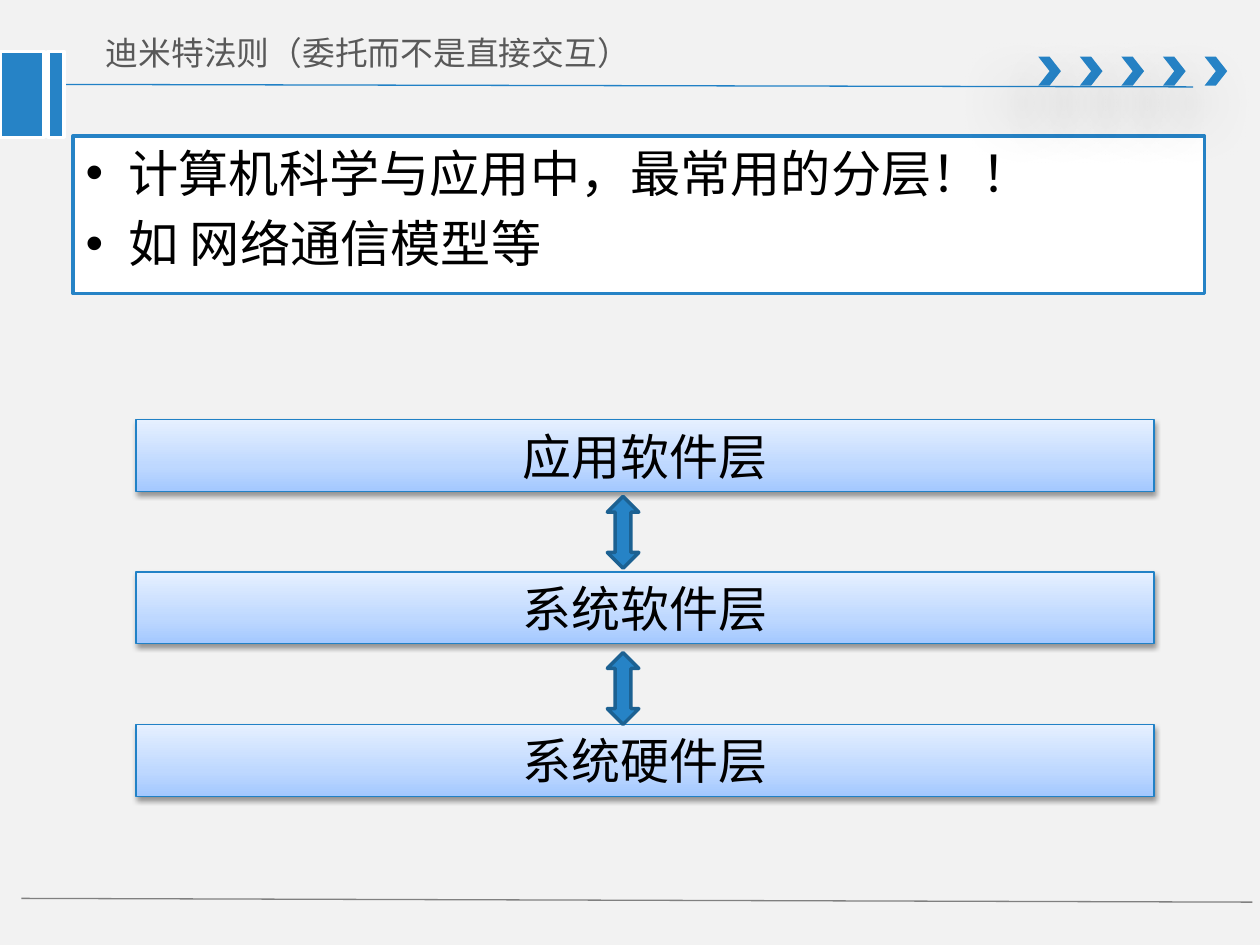
from copy import deepcopy

from lxml.etree import SubElement
from pptx import Presentation
from pptx.dml.color import RGBColor
from pptx.enum.shapes import MSO_CONNECTOR, MSO_SHAPE
from pptx.enum.text import MSO_ANCHOR, MSO_AUTO_SIZE, PP_ALIGN
from pptx.oxml.ns import qn
from pptx.util import Inches, Pt

BLUE = RGBColor(0x26, 0x83, 0xC6)
EDGE_BLUE = RGBColor(0x21, 0x81, 0xC6)
DARK_BLUE = RGBColor(0x1C, 0x61, 0x92)
BACKGROUND = RGBColor(0xF2, 0xF2, 0xF2)
WHITE = RGBColor(0xFF, 0xFF, 0xFF)
BLACK = RGBColor(0, 0, 0)
GRAY = RGBColor(0x80, 0x80, 0x80)
TITLE_GRAY = RGBColor(0x59, 0x59, 0x59)
LAYER_STOPS = [
    (0, RGBColor(0xA3, 0xC8, 0xFF)),
    (0.35, RGBColor(0xBE, 0xD8, 0xFF)),
    (1, RGBColor(0xE6, 0xF0, 0xFF)),
]
LATIN_FONT = "Calibri"
CJK_FONT = "Noto Sans CJK SC"


def set_box(shape, box):
    shape.left, shape.top, shape.width, shape.height = map(Inches, box)


def set_line(shape, color, width):
    shape.line.color.rgb = color
    shape.line.width = Pt(width)


def add_box(page, kind, box, fill=None, line=None, line_width=2):
    shape = page.shapes.add_shape(kind, *map(Inches, box))
    shape.shadow.inherit = False
    if fill is not None:
        shape.fill.solid()
        shape.fill.fore_color.rgb = fill
    if line is None:
        shape.line.fill.background()
    else:
        set_line(shape, line, line_width)
    return shape


def add_rule(page, start, end, color):
    rule = page.shapes.add_connector(
        MSO_CONNECTOR.STRAIGHT, *map(Inches, start + end))
    set_line(rule, color, 0.75)
    SubElement(rule._element.spPr, qn("a:effectLst"))


def add_shadow(shape, blur, distance, angle):
    effects = shape._element.spPr.find(qn("a:effectLst"))
    shadow = SubElement(
        effects, qn("a:outerShdw"), blurRad=str(Pt(blur)),
        dist=str(Pt(distance)), dir=str(angle * 60000), rotWithShape="0")
    color = SubElement(shadow, qn("a:srgbClr"), val=str(BLACK))
    SubElement(color, qn("a:alpha"), val="38000")


def fill_gradient(shape, stops):
    """Fill from bottom to top with any number of stops."""
    shape.fill.gradient()
    shape.fill.gradient_angle = 90
    stop_list = shape._element.spPr.find(qn("a:gradFill")).find(qn("a:gsLst"))
    while len(stop_list) < len(stops):
        stop_list.append(deepcopy(stop_list[0]))
    for stop, (position, color) in zip(shape.fill.gradient_stops, stops):
        stop.position = position
        stop.color.rgb = color


def add_text(para, text, size, color, font=LATIN_FONT):
    span = para.add_run()
    span.text = text
    span.font.size = Pt(size)
    span.font.name = font
    span.font.color.rgb = color
    return span


def add_frame(page, box):
    """Header rule, chevrons, side bars and footer rule."""
    left, top, width, height = box
    add_rule(page, (left + 0.4, top + 0.67),
             (left + width - 0.53, top + 0.69), EDGE_BLUE)
    for column in range(5):
        chevron = add_box(
            page, MSO_SHAPE.CHEVRON,
            (left + width - 1.76 + column * 0.33, top + 0.45, 0.18, 0.23), BLUE)
        add_shadow(chevron, 36, 24, 130)
    for offset, bar_width in ((0, 0.35), (0.38, 0.13)):
        add_box(page, MSO_SHAPE.RECTANGLE,
                (left + offset, top + 0.41, bar_width, 0.68), BLUE, WHITE)
    bottom = top + height
    add_rule(page, (left + 0.17, bottom - 0.37),
             (left + width - 0.06, bottom - 0.34), GRAY)


def fill_title(page, box, text):
    title = page.shapes.title
    set_box(title, box)
    frame = title.text_frame
    frame.vertical_anchor = MSO_ANCHOR.MIDDLE
    frame.auto_size = MSO_AUTO_SIZE.NONE
    para = frame.paragraphs[0]
    para.alignment = PP_ALIGN.LEFT
    span = add_text(para, text, 18.7, TITLE_GRAY, CJK_FONT)
    SubElement(span._r.get_or_add_rPr(), qn("a:ea"), typeface=CJK_FONT)


def fill_points(page, box, points):
    body = page.placeholders[1]
    set_box(body, box)
    body.fill.solid()
    body.fill.fore_color.rgb = WHITE
    set_line(body, BLUE, 2)
    frame = body.text_frame
    frame.auto_size = MSO_AUTO_SIZE.NONE
    for index, point in enumerate(points):
        para = frame.add_paragraph() if index else frame.paragraphs[0]
        add_text(para, point, 28.7, BLACK)
        properties = para._p.get_or_add_pPr()
        properties.set("marL", str(Inches(0.34)))
        properties.set("indent", str(-Inches(0.34)))


def add_layers(page, box, names):
    """Stack one bar per name, with a double arrow in each gap."""
    left, top, width, height = box
    bar_height = 0.57
    pitch = (height - bar_height) / (len(names) - 1)
    for row, name in enumerate(names):
        bar = add_box(page, MSO_SHAPE.RECTANGLE,
                      (left, top + row * pitch, width, bar_height),
                      line=EDGE_BLUE, line_width=0.75)
        fill_gradient(bar, LAYER_STOPS)
        add_shadow(bar, 3.1, 1.6, 90)
        bar.text_frame.vertical_anchor = MSO_ANCHOR.MIDDLE
        para = bar.text_frame.paragraphs[0]
        para.alignment = PP_ALIGN.CENTER
        add_text(para, name, 28, BLACK)
    for gap in range(len(names) - 1):
        add_box(page, MSO_SHAPE.UP_DOWN_ARROW,
                (left + 3.74, top + 0.61 + gap * 1.24, 0.25, 0.57),
                BLUE, DARK_BLUE)


def main():
    deck = Presentation()
    deck.slide_width, deck.slide_height = Inches(10), Inches(7.5)
    page = deck.slides.add_slide(deck.slide_layouts[1])
    page.background.fill.solid()
    page.background.fill.fore_color.rgb = BACKGROUND
    add_frame(page, (0, 0, 10, 7.5))
    fill_title(page, (0.74, 0.14, 6.84, 0.55), "迪米特法则（委托而不是直接交互）")
    fill_points(page, (0.58, 1.08, 8.98, 1.25),
                ["计算机科学与应用中，最常用的分层！！", "如 网络通信模型等"])
    add_layers(page, (1.08, 3.33, 8.08, 2.99),
               ["应用软件层", "系统软件层", "系统硬件层"])
    deck.save("out.pptx")


if __name__ == "__main__":
    main()
